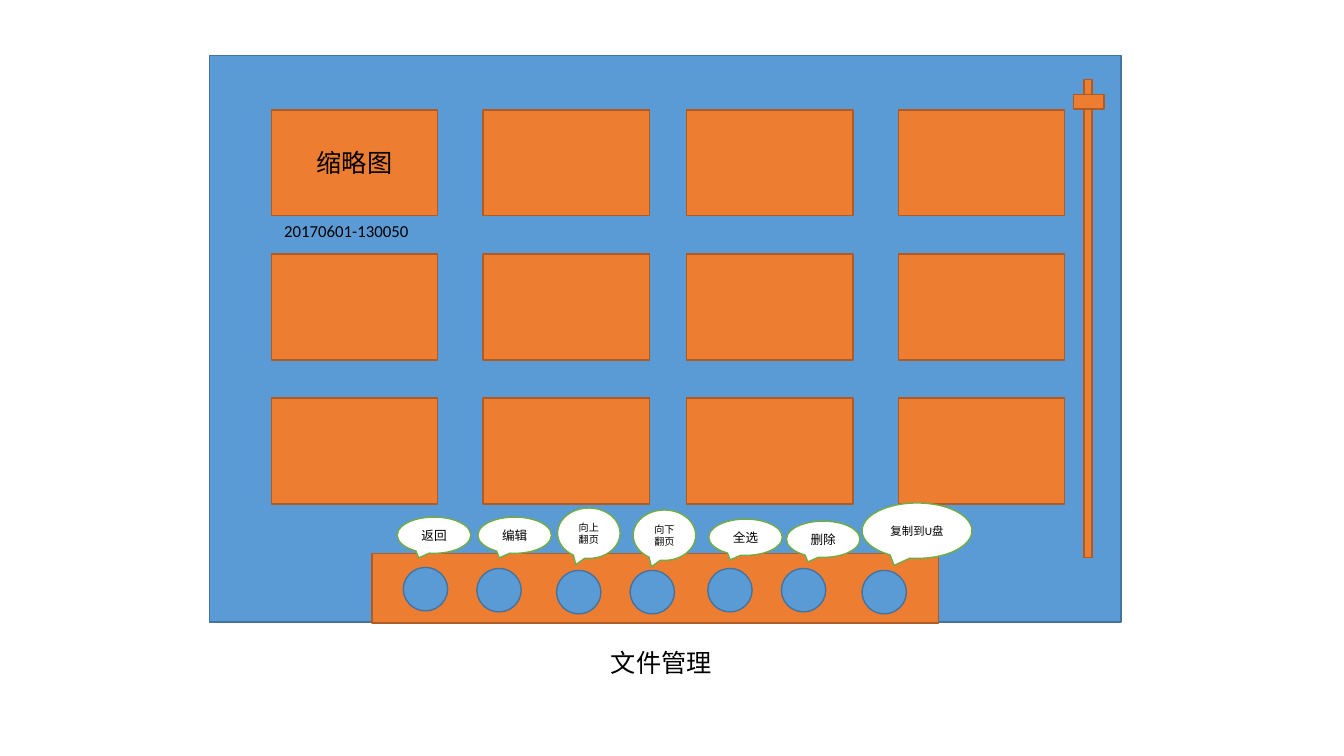
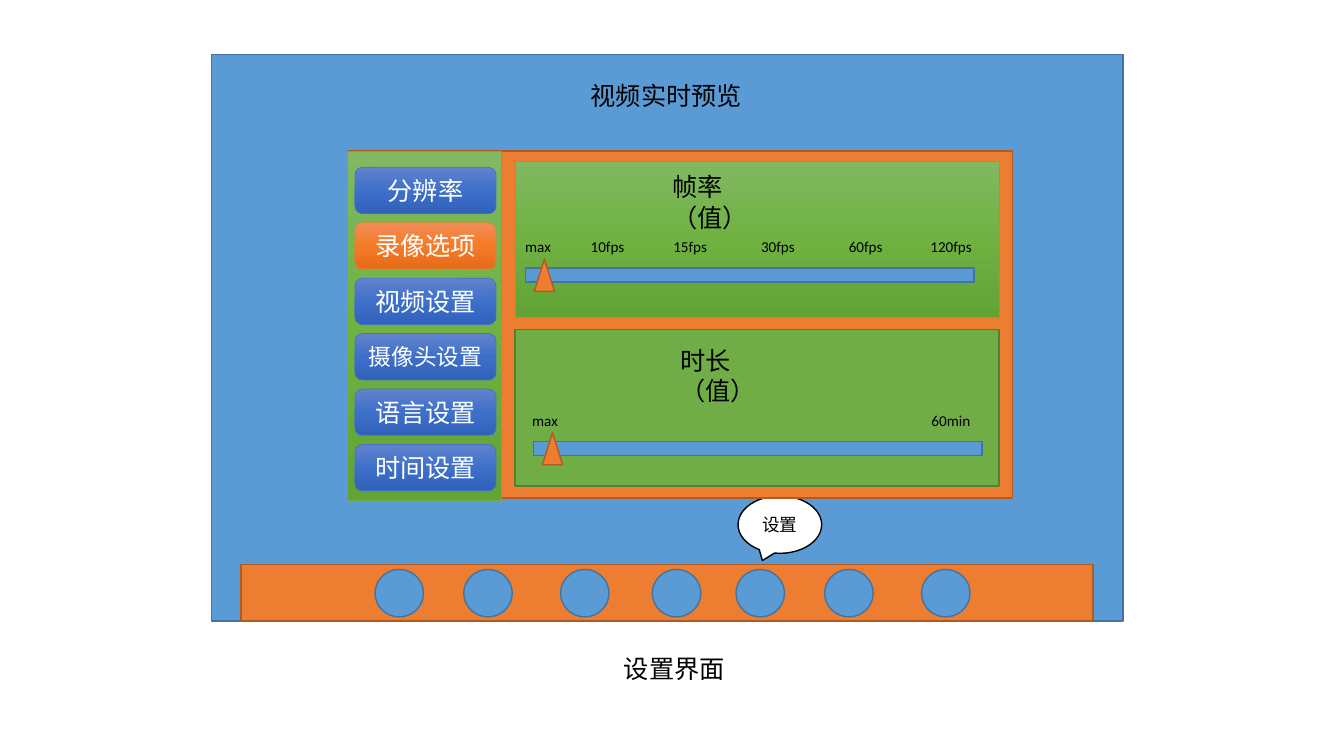
"""Build two wireframe slides: a file manager screen and a settings screen."""
from copy import deepcopy

from pptx import Presentation
from pptx.dml.color import RGBColor
from pptx.enum.shapes import MSO_SHAPE
from pptx.enum.text import MSO_ANCHOR, MSO_AUTO_SIZE, PP_ALIGN
from pptx.oxml.ns import qn
from pptx.util import Inches, Pt

SLIDE_WIDTH = Inches(13.33)
SLIDE_HEIGHT = Inches(7.5)
COLUMN = SLIDE_WIDTH / 133.3
ROW = SLIDE_HEIGHT / 75
FONT = "Calibri"

BLACK = RGBColor(0x00, 0x00, 0x00)
WHITE = RGBColor(0xFF, 0xFF, 0xFF)
BLUE = RGBColor(0x5B, 0x9B, 0xD5)
BLUE_EDGE = RGBColor(0x43, 0x73, 0x9E)
ORANGE = RGBColor(0xED, 0x7D, 0x31)
ORANGE_EDGE = RGBColor(0xAF, 0x5C, 0x24)
GREEN = RGBColor(0x70, 0xAD, 0x47)
GREEN_EDGE = RGBColor(0x53, 0x80, 0x35)
ROYAL = RGBColor(0x44, 0x72, 0xC4)
GREEN_SHADES = (RGBColor(0x81, 0xB8, 0x61), RGBColor(0x6F, 0xB2, 0x42), RGBColor(0x62, 0xA3, 0x36))
ROYAL_SHADES = (RGBColor(0x61, 0x83, 0xCB), RGBColor(0x3E, 0x70, 0xCA), RGBColor(0x30, 0x62, 0xBB))
ORANGE_SHADES = (RGBColor(0xF1, 0x8C, 0x57), RGBColor(0xF6, 0x7B, 0x28), RGBColor(0xE5, 0x6C, 0x19))

BLUE_STYLE = (BLUE, BLUE_EDGE)
ORANGE_STYLE = (ORANGE, ORANGE_EDGE)


def place(column, row, columns, rows):
    """Turn grid units into left, top, width and height."""
    return round(column * COLUMN), round(row * ROW), round(columns * COLUMN), round(rows * ROW)


def write(shape, text, size, color):
    """Set the text of a shape and format its runs."""
    shape.text_frame.text = text
    shape.text_frame.word_wrap = True
    for run in shape.text_frame.paragraphs[0].runs:
        run.font.name = FONT
        run.font.size = Pt(size)
        run.font.color.rgb = color


def add_box(slide, box, style, kind=MSO_SHAPE.RECTANGLE, line_width=1):
    """Add a preset shape with a solid fill and an outline."""
    fill, edge = style
    shape = slide.shapes.add_shape(kind, *place(*box))
    shape.shadow.inherit = False
    shape.fill.solid()
    shape.fill.fore_color.rgb = fill
    shape.line.color.rgb = edge
    shape.line.width = Pt(line_width)
    return shape


def add_shaded_box(slide, box, shades, edge, kind=MSO_SHAPE.RECTANGLE):
    """Add a preset shape with a three-stop vertical gradient."""
    shape = add_box(slide, box, (edge, edge), kind, 0.5)
    shape.fill.gradient()
    shape.fill.gradient_angle = 270
    stops = shape.element.spPr.find(".//" + qn("a:gsLst"))
    stops.insert(1, deepcopy(stops[0]))
    for stop, shade, position in zip(shape.fill.gradient_stops, shades, (0, 0.5, 1)):
        stop.color.rgb = shade
        stop.position = position
    return shape


def label_box(shape, text, size, color=BLACK):
    """Write centred text inside a shape."""
    write(shape, text, size, color)
    shape.text_frame.vertical_anchor = MSO_ANCHOR.MIDDLE
    shape.text_frame.paragraphs[0].alignment = PP_ALIGN.CENTER


def add_text(slide, box, text, size=18):
    """Add a left-aligned text box."""
    text_box = slide.shapes.add_textbox(*place(*box))
    write(text_box, text, size, BLACK)
    text_box.text_frame.auto_size = MSO_AUTO_SIZE.SHAPE_TO_FIT_TEXT


def add_callout(slide, box, text, size, edge):
    """Add a white speech bubble."""
    callout = add_box(slide, box, (WHITE, edge), MSO_SHAPE.OVAL_CALLOUT)
    label_box(callout, text, size)


def add_toolbar(slide, box, buttons, columns, rows):
    """Add the orange bar and its round buttons."""
    add_box(slide, box, ORANGE_STYLE)
    for column, row in buttons:
        add_box(slide, (column, row, columns, rows), BLUE_STYLE, MSO_SHAPE.OVAL)


def add_slider(slide, column, row, title, marks):
    """Add a titled track with its handle and scale marks."""
    add_box(slide, (column, row, 44.5, 1.4), BLUE_STYLE)
    add_box(slide, (column + 0.9, row - 0.9, 2, 3.2), ORANGE_STYLE, MSO_SHAPE.ISOSCELES_TRIANGLE)
    add_text(slide, (column + 13.6, row - 10.05, 13, 4), title)
    for mark_column, mark in marks:
        add_text(slide, (mark_column, row - 3.5, 6.7, 2.9), mark, 10.8)


def add_screen(presentation, column, row, caption, caption_column, caption_row):
    """Add a slide with the blue screen and the caption below it."""
    slide = presentation.slides.add_slide(presentation.slide_layouts[6])
    add_box(slide, (column, row, 90.4, 56.2), BLUE_STYLE)
    add_text(slide, (caption_column, caption_row, 12.9, 4), caption)
    return slide


def build_file_manager(presentation):
    """Build the file manager screen."""
    slide = add_screen(presentation, 20.8, 5.5, "文件管理", 59.6, 63.7)
    thumbnails = [
        add_box(slide, (column, 10.9 + 14.3 * index, 16.5, 10.5), ORANGE_STYLE)
        for column in (26.9, 47.9, 68.1, 89.1)
        for index in range(3)
    ]
    label_box(thumbnails[0], "缩略图", 18)
    add_text(slide, (27.2, 21.4, 15.9, 3), "20170601-130050", 12)

    buttons = ((40, 56.3), (47.3, 56.4), (55.2, 56.6), (62.5, 56.6),
               (70.2, 56.4), (77.5, 56.4), (85.5, 56.6))
    add_toolbar(slide, (36.9, 54.9, 56.2, 6.9), buttons, 4.4, 4.3)

    small, tall, wide = (7.3, 3.6), (6.2, 5), (10.9, 5.5)
    callouts = (
        ("返回", 39.4, 51.3, small, 9),
        ("编辑", 47.4, 51.3, small, 9),
        ("向上翻页", 55.3, 50.4, tall, 7.2),
        ("向下翻页", 62.8, 50.6, tall, 7.2),
        ("全选", 70.3, 51.5, small, 9),
        ("删除", 78, 51.7, small, 9),
        ("复制到U盘", 85.5, 49.9, wide, 8.1),
    )
    for text, column, row, extent, size in callouts:
        add_callout(slide, (column, row, *extent), text, size, GREEN)

    add_box(slide, (107.5, 7.9, 0.8, 47.4), ORANGE_STYLE)
    add_box(slide, (106.5, 9.4, 3, 1.4), ORANGE_STYLE)


def build_settings(presentation):
    """Build the settings screen."""
    slide = add_screen(presentation, 21, 5.4, "设置界面", 60.9, 64.3)
    add_text(slide, (57.6, 7.5, 18.1, 4), "视频实时预览")

    button_columns = (37.2, 46, 55.6, 64.7, 73, 81.8, 91.4)
    buttons = [(column, 56.5) for column in button_columns]
    add_toolbar(slide, (23.9, 56, 84.5, 5.6), buttons, 4.8, 4.7)
    add_callout(slide, (73.2, 49.2, 8.3, 5.7), "设置", 12.6, BLACK)

    add_box(slide, (34.5, 15, 65.9, 34.4), ORANGE_STYLE)
    add_shaded_box(slide, (34.5, 15, 15.2, 34.6), GREEN_SHADES, GREEN)
    add_shaded_box(slide, (51.1, 16, 48, 15.5), GREEN_SHADES, GREEN)
    add_box(slide, (51.1, 32.7, 48, 15.5), (GREEN, GREEN_EDGE))

    rates = ((51.1, "max"), (57.6, "10fps"), (65.8, "15fps"),
             (74.5, "30fps"), (83.2, "60fps"), (91.3, "120fps"))
    add_slider(slide, 52.1, 26.6, "帧率（值）", rates)
    add_slider(slide, 52.9, 43.8, "时长（值）", ((51.8, "max"), (91.4, "60min")))

    selected = "录像选项"
    menu = ("分辨率", selected, "视频设置", "摄像头设置", "语言设置", "时间设置")
    for index, text in enumerate(menu):
        shades, edge = (ORANGE_SHADES, ORANGE) if text == selected else (ROYAL_SHADES, ROYAL)
        box = (35.2, 16.6 + 5.5 * index, 14, 4.6)
        item = add_shaded_box(slide, box, shades, edge, MSO_SHAPE.ROUNDED_RECTANGLE)
        label_box(item, text, 16.2 if len(text) > 4 else 18, WHITE)


def main():
    """Create and save the presentation."""
    presentation = Presentation()
    presentation.slide_width = SLIDE_WIDTH
    presentation.slide_height = SLIDE_HEIGHT
    build_file_manager(presentation)
    build_settings(presentation)
    presentation.save("out.pptx")


main()
